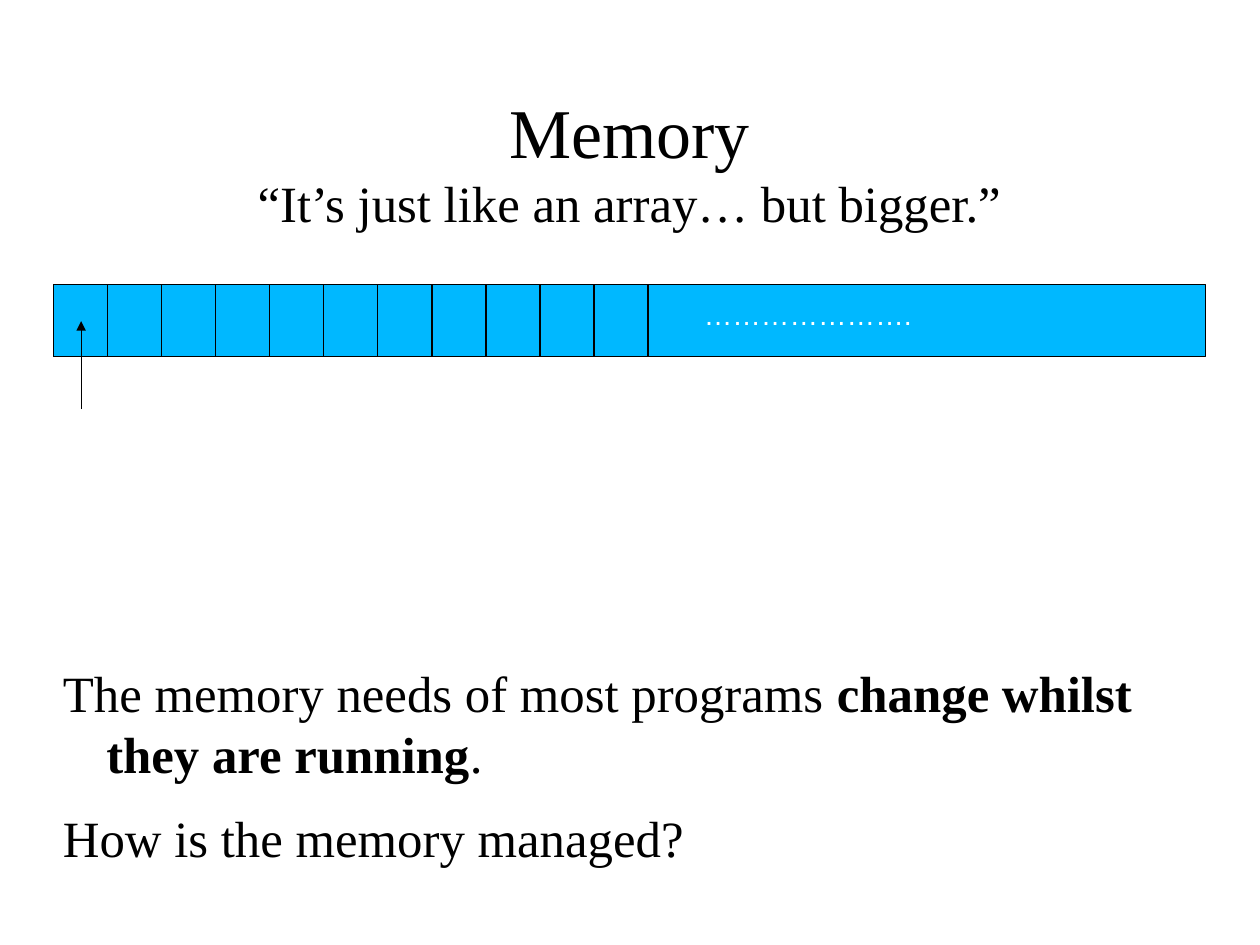
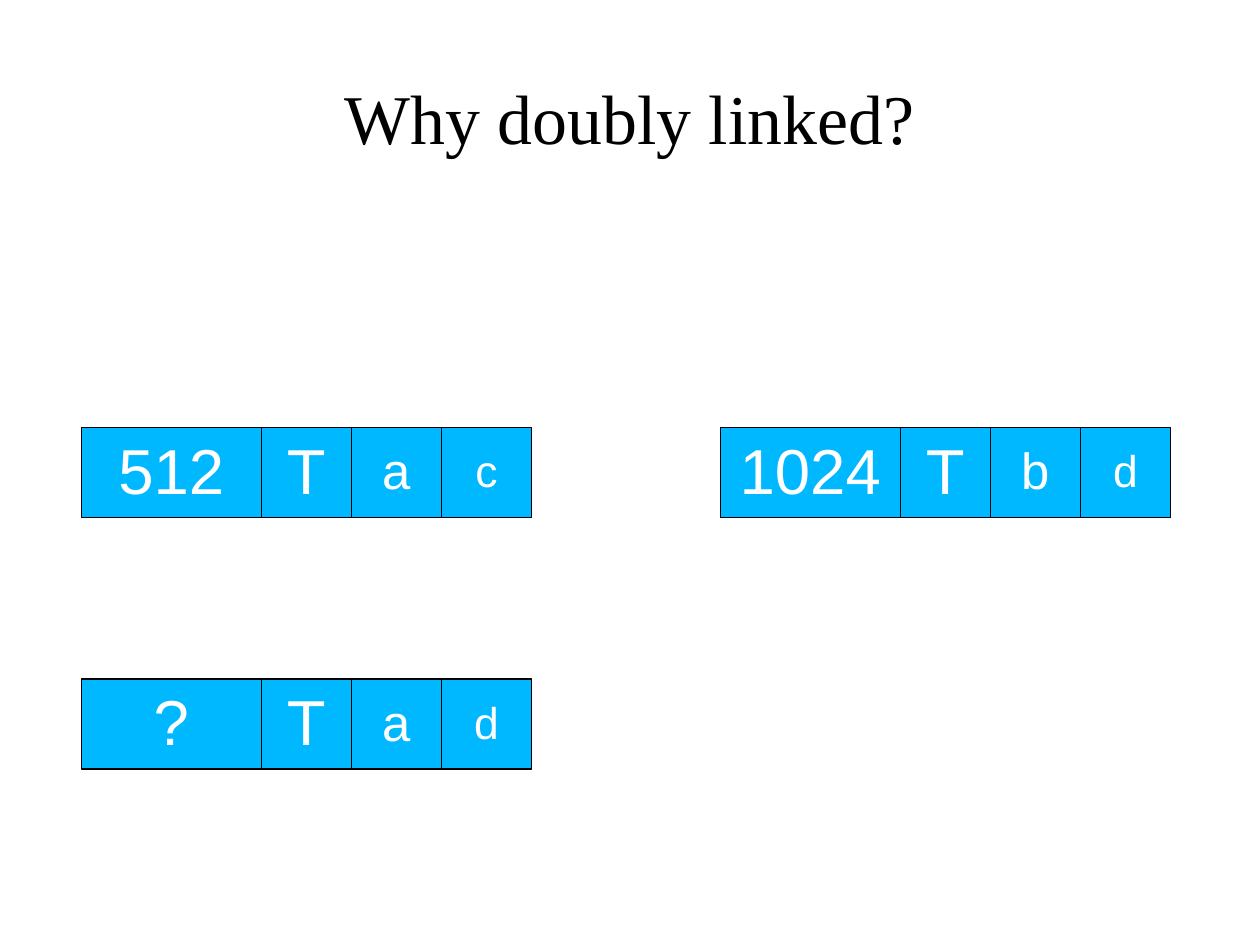
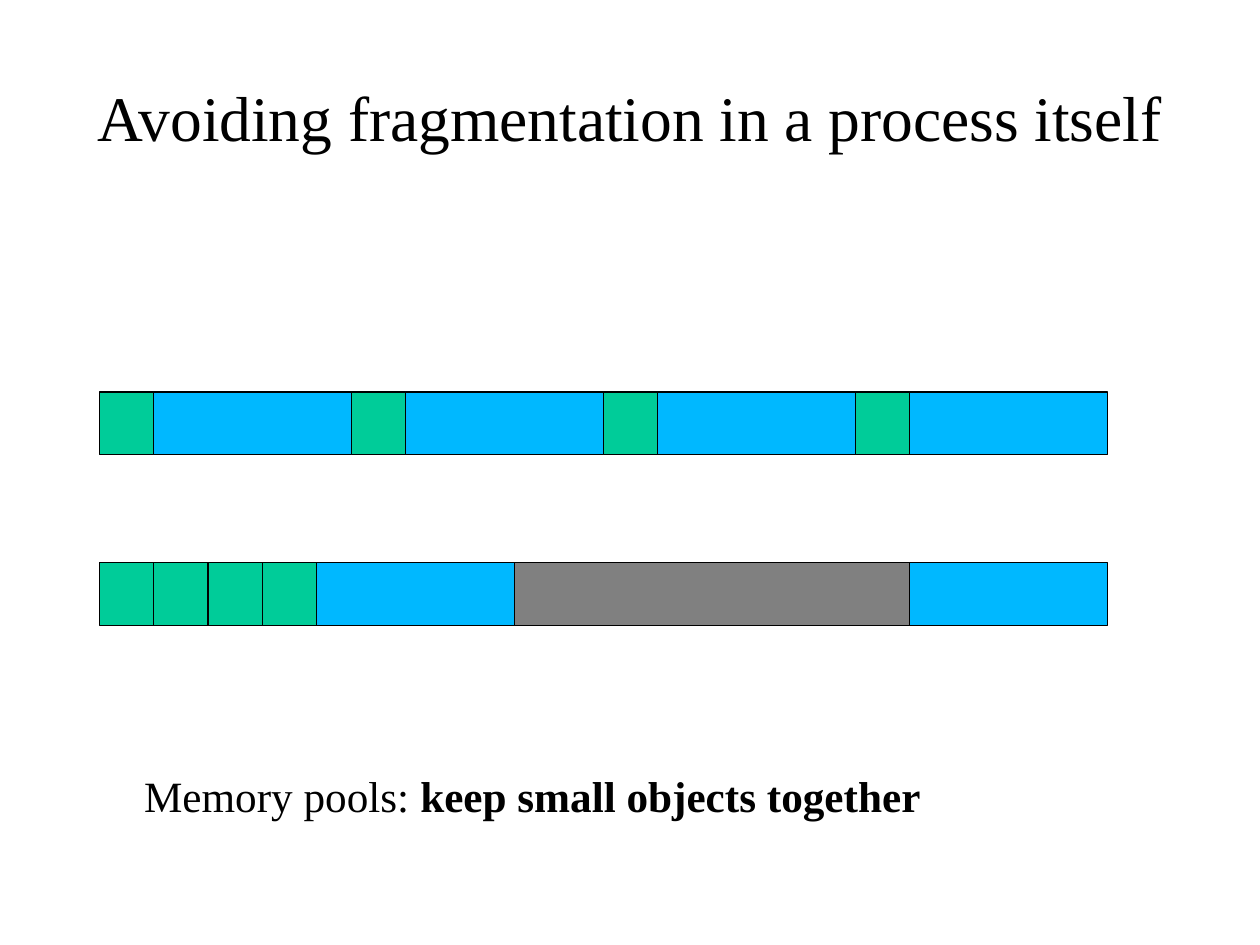
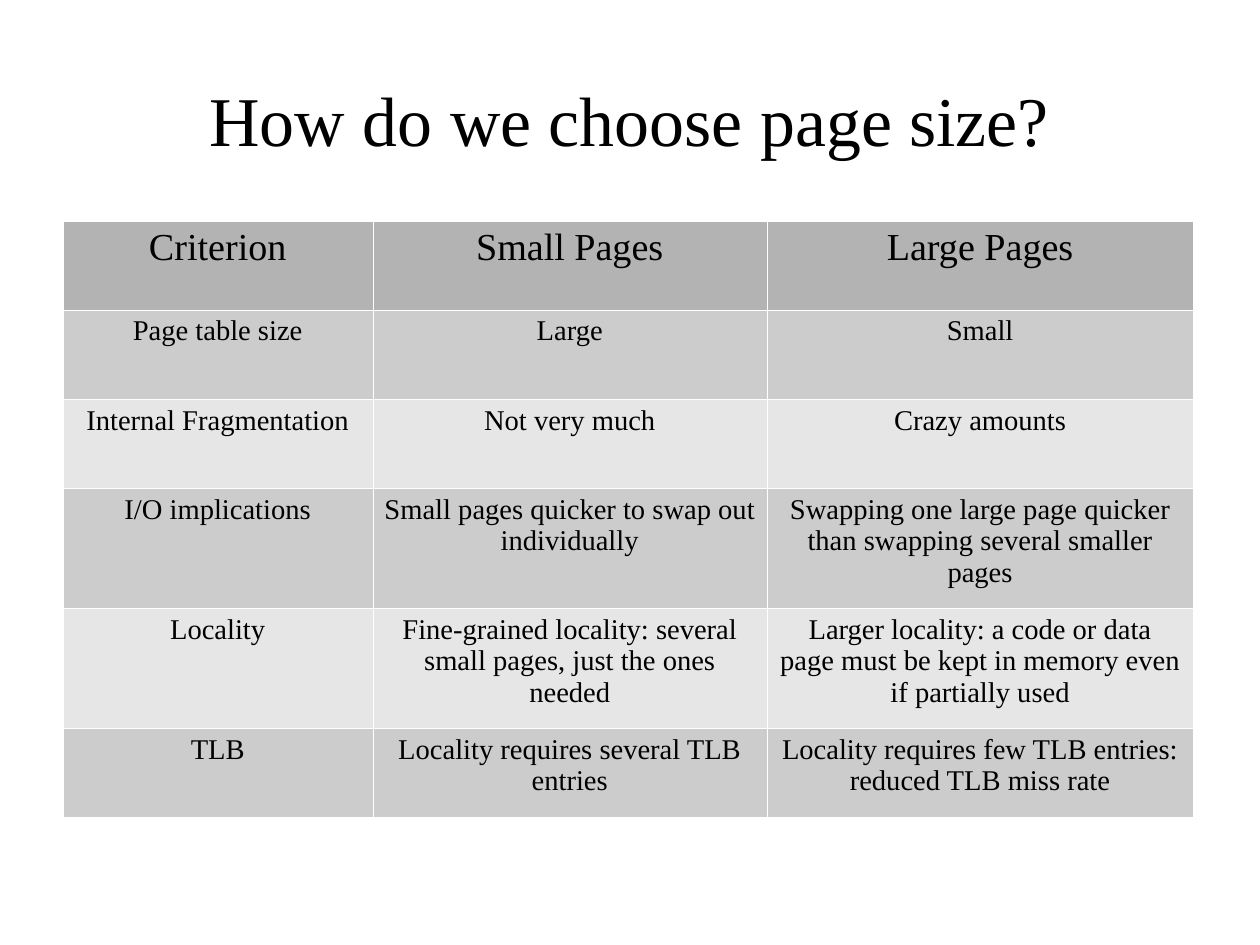
from lxml import etree
from pptx import Presentation
from pptx.dml.color import RGBColor
from pptx.enum import shapes, text
from pptx.oxml import ns
from pptx.util import Inches, Pt

# Shared style
SERIF, SANS = "Times New Roman", "Arial"
BLACK, WHITE, BLUE, GREEN, GREY = "000000", "FFFFFF", "00B8FF", "00CC99", "808080"
MARGIN, TEXT_WIDTH = 0.55, 9.92
color = RGBColor.from_string

# The page is 28 by 21 centimetres
deck = Presentation()
deck.slide_width, deck.slide_height = Inches(28 / 2.54), Inches(21 / 2.54)
blank = deck.slide_layouts[6]


def add_text(page, left, top, width, height, paragraphs, size, title=False):
    """Each paragraph is a list of (text, bold, size) spans."""
    box = page.shapes.add_textbox(*map(Inches, (left, top, width, height)))
    frame = box.text_frame
    frame.word_wrap = True
    frame.margin_left = frame.margin_right = frame.margin_top = frame.margin_bottom = 0
    frame.vertical_anchor = text.MSO_ANCHOR.MIDDLE if title else text.MSO_ANCHOR.TOP
    for index, spans in enumerate(paragraphs):
        para = frame.paragraphs[0] if index == 0 else frame.add_paragraph()
        if title:
            para.alignment = text.PP_ALIGN.CENTER
        else:
            para.space_after = Pt(14.3)
            properties = para._p.get_or_add_pPr()
            properties.set("marL", str(Inches(0.38)))
            properties.set("indent", str(Inches(-0.38)))
        para.font.name, para.font.size = SERIF, Pt(size)
        para.font.color.rgb = color(BLACK)
        for words, bold, span_size in spans:
            if words == "\n":
                para.add_line_break()
                continue
            span = para.add_run()
            span.text = words
            if bold:
                span.font.bold = True
            if span_size:
                span.font.size = Pt(span_size)


def add_cell(page, left, top, width, height, fill=None, label="", size=40):
    """A block of memory with a thin black outline."""
    cell = page.shapes.add_shape(
        shapes.MSO_SHAPE.RECTANGLE, *map(Inches, (left, top, width, height)))
    cell.shadow.inherit = False
    if fill:
        cell.fill.solid()
        cell.fill.fore_color.rgb = color(fill)
    else:
        cell.fill.background()
    cell.line.color.rgb, cell.line.width = color(BLACK), Pt(0.75)
    if label:
        cell.text_frame.word_wrap = False
        para = cell.text_frame.paragraphs[0]
        para.text, para.line_spacing = label, 0.94
        para.alignment = text.PP_ALIGN.CENTER
        para.font.name, para.font.size = SANS, Pt(size)
        para.font.color.rgb = color(WHITE)


# Slide 1: memory as an array
page = deck.slides.add_slide(blank)
add_text(page, MARGIN, 0.33, TEXT_WIDTH, 2.15,
         [[("Memory", False, None), ("\n", False, None),
           ("“It’s just like an array… but bigger.”", False, 32)]], 44, title=True)
array_left, array_top, array_height = 0.47, 2.49, 0.63
cell_width = 5.2 / 11
add_cell(page, array_left, array_top, 10.08, array_height, BLUE)
for index in range(11):
    add_cell(page, array_left + index * cell_width, array_top, cell_width, array_height)

dots = page.shapes.add_textbox(Inches(6.06), Inches(2.57), Inches(3.07), Inches(0.38))
dots.text_frame.word_wrap = True
para = dots.text_frame.paragraphs[0]
para.text, para.line_spacing = "………………….", 0.94
para.font.name, para.font.size = SANS, Pt(18)
para.font.color.rgb = color(WHITE)

arrow = page.shapes.add_connector(
    shapes.MSO_CONNECTOR.STRAIGHT, Inches(0.71), Inches(3.58), Inches(0.71), Inches(2.81))
arrow.line.color.rgb, arrow.line.width = color(BLACK), Pt(0.75)
etree.SubElement(arrow.line._get_or_add_ln(), ns.qn("a:tailEnd"), type="triangle")
etree.SubElement(arrow._element.spPr, ns.qn("a:effectLst"))

add_text(page, MARGIN, 5.79, TEXT_WIDTH, 2.12,
         [[("The memory needs of most programs ", False, None),
           ("change whilst they are running", True, None), (".", False, None)],
          [("How is the memory managed?", False, None)]], 32)

# Slide 2: doubly linked blocks
page = deck.slides.add_slide(blank)
add_text(page, MARGIN, 0.33, TEXT_WIDTH, 1.38,
         [[("Why doubly linked?", False, None)]], 44, title=True)
side = 3.94 / 5
for block_left, block_top, labels in [
    (0.71, 3.74, ["512", "T", "a", "c"]),
    (6.3, 3.74, ["1024", "T", "b", "d"]),
    (0.71, 5.94, ["?", "T", "a", "d"]),
]:
    left = block_left
    for label, width, size in zip(labels, [2 * side, side, side, side], [40, 40, 32, 28]):
        add_cell(page, left, block_top, width, side, BLUE, label, size)
        left += width

# Slide 3: scattered objects and a memory pool
page = deck.slides.add_slide(blank)
add_text(page, MARGIN, 0.33, TEXT_WIDTH, 1.38,
         [[("Avoiding fragmentation in a process itself", False, None)]], 40, title=True)
add_text(page, 1.26, 6.73, 8.19, 0.63,
         [[("Memory pools: ", False, None), ("keep small objects together", True, None)]], 27.2)
large_width = 1.73
small_width = 8.82 / 4 - large_width
small, large, free = (small_width, GREEN), (large_width, BLUE), (2 * large_width, GREY)
for top, blocks in [(3.43, [small, large] * 4),
                    (4.92, [small] * 4 + [large, free, large])]:
    left = 0.87
    for width, fill in blocks:
        add_cell(page, left, top, width, 0.55, fill)
        left += width

# Slide 4: page size comparison
page = deck.slides.add_slide(blank)
add_text(page, MARGIN, 0.02, TEXT_WIDTH, 2.04,
         [[("How do we choose page size?", False, None)]], 44, title=True)
rows = [
    ["Criterion", "Small Pages", "Large Pages"],
    ["Page table size", "Large", "Small"],
    ["Internal Fragmentation", "Not very much", "Crazy amounts"],
    ["I/O implications", "Small pages quicker to swap out individually",
     "Swapping one large page quicker than swapping several smaller pages"],
    ["Locality", "Fine-grained locality: several small pages, just the ones needed",
     "Larger locality: a code or data page must be kept in memory even if partially used"],
    ["TLB", "Locality requires several TLB entries",
     "Locality requires few TLB entries: reduced TLB miss rate"],
]
table = page.shapes.add_table(
    len(rows), 3, Inches(MARGIN), Inches(1.93), Inches(9.89), Inches(5.22)).table
for column, width in zip(table.columns, [2.71, 3.45, 3.73]):
    column.width = Inches(width)
for row, height in zip(table.rows, [0.78, 0.78, 0.78, 1.05, 1.05, 0.78]):
    row.height = Inches(height)
for row_index, row in enumerate(rows):
    header = row_index == 0
    fill = "B3B3B3" if header else ("E6E6E6", "CCCCCC")[row_index % 2]
    for column_index, words in enumerate(row):
        cell = table.cell(row_index, column_index)
        properties = cell._tc.get_or_add_tcPr()
        for edge in ("a:lnL", "a:lnR", "a:lnT", "a:lnB"):
            border = etree.SubElement(properties, ns.qn(edge), w=str(Pt(0.06)))
            paint = etree.SubElement(border, ns.qn("a:solidFill"))
            etree.SubElement(paint, ns.qn("a:srgbClr"), val=WHITE)
        cell.fill.solid()
        cell.fill.fore_color.rgb = color(fill)
        para = cell.text_frame.paragraphs[0]
        para.text, para.alignment = words, text.PP_ALIGN.CENTER
        para.font.name, para.font.size = SERIF, Pt(24 if header else 18)
        para.font.bold = False
        para.font.color.rgb = color(BLACK)

deck.save("out.pptx")
